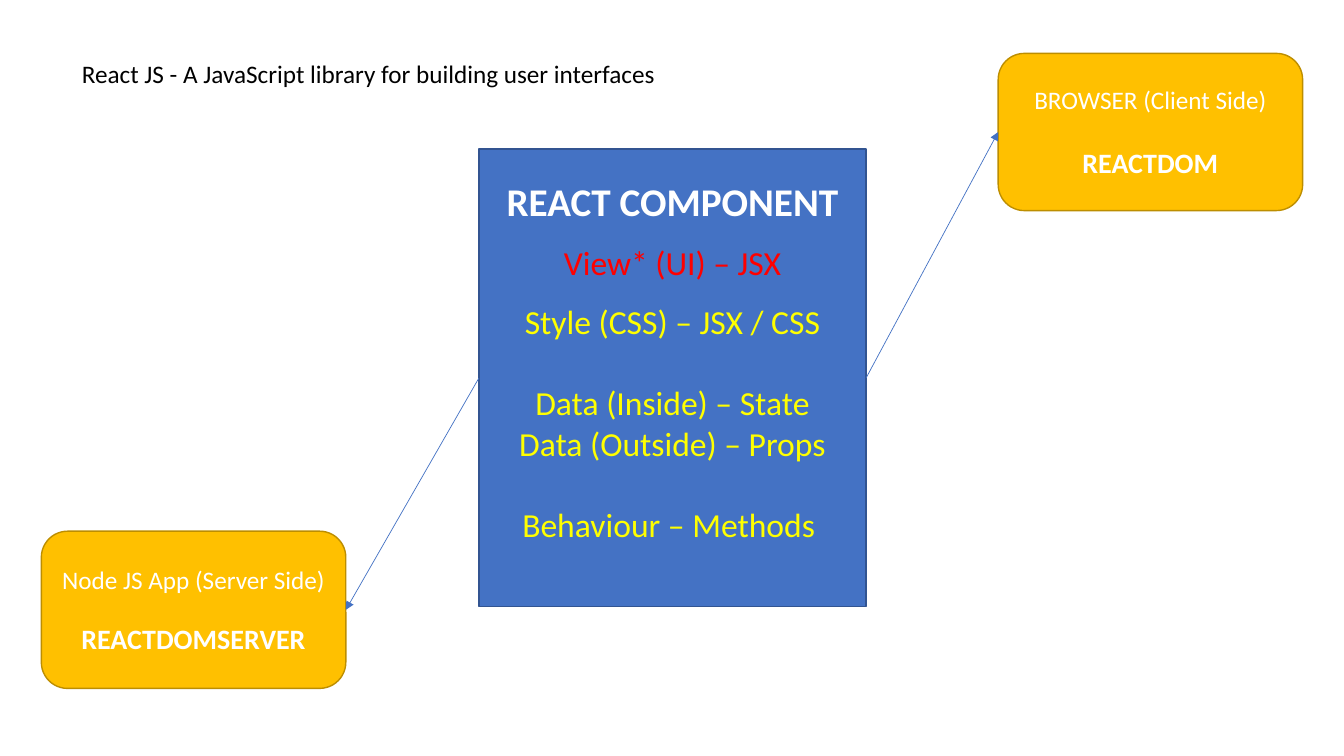
from lxml import etree
from pptx import Presentation
from pptx.dml.color import RGBColor
from pptx.enum.shapes import MSO_CONNECTOR, MSO_SHAPE
from pptx.enum.text import MSO_ANCHOR, PP_ALIGN
from pptx.oxml.ns import qn
from pptx.util import Inches, Pt

FONT = "Calibri"
COLORS = {
    "black": "000000", "white": "FFFFFF", "red": "FF0000", "yellow": "FFFF00",
    "blue": "4472C4", "blue edge": "325491",
    "amber": "FFC000", "amber edge": "BD8E00",
}

# Content: text, size, colour, bold, space before, line spacing
TITLE = [("React JS - A JavaScript library for building user interfaces",
          18, "black", False, 0, 1)]
COMPONENT = [
    ("REACT COMPONENT", 28, "white", True, 0, 1.5),
    ("View* (UI) – JSX", 24, "red", False, 12.2, 1),
    ("Style (CSS) – JSX / CSS", 24, "yellow", False, 13.4, 1),
    ("Data (Inside) – State", 24, "yellow", False, 29.3, 1),
    ("Data (Outside) – Props", 24, "yellow", False, 0, 1),
    ("Behaviour – Methods ", 24, "yellow", False, 29.3, 1),
]
# Render targets: left, top, side of the component, own side, gap, lines
# Connection sites on a rectangle: 1 is left, 3 is right
TARGETS = [
    (9.9, 0.53, 3, 1, 22, ("BROWSER (Client Side)", "REACTDOM")),
    (0.41, 5.27, 1, 3, 19.5, ("Node JS App (Server Side)", "REACTDOMSERVER")),
]
TARGET_SIZE = (3.02, 1.56)


def rgb(name):
    return RGBColor.from_string(COLORS[name])


def write(shape, lines, anchor):
    frame = shape.text_frame
    frame.word_wrap = True
    frame.vertical_anchor = anchor
    for index, (text, size, color, bold, gap, spacing) in enumerate(lines):
        para = frame.paragraphs[0] if index == 0 else frame.add_paragraph()
        para.alignment = PP_ALIGN.CENTER
        para.line_spacing = spacing
        para.space_before = Pt(gap)
        span = para.add_run()
        span.text = text
        span.font.name = FONT
        span.font.size = Pt(size)
        span.font.bold = bold
        span.font.color.rgb = rgb(color)


def add_box(page, kind, place, color, lines, anchor):
    box = page.shapes.add_shape(kind, *map(Inches, place))
    box.shadow.inherit = False
    box.fill.solid()
    box.fill.fore_color.rgb = rgb(color)
    box.line.color.rgb = rgb(color + " edge")
    box.line.width = Pt(1)
    write(box, lines, anchor)
    return box


def add_arrow(page, source, source_side, target, target_side):
    arrow = page.shapes.add_connector(MSO_CONNECTOR.STRAIGHT, 0, 0, 0, 0)
    arrow.begin_connect(source, source_side)
    arrow.end_connect(target, target_side)
    arrow.line.color.rgb = rgb("blue")
    arrow.line.width = Pt(0.5)
    etree.SubElement(arrow.line._get_or_add_ln(), qn("a:tailEnd"), type="triangle")
    etree.SubElement(arrow._element.spPr, qn("a:effectLst"))


def main():
    deck = Presentation()
    deck.slide_width, deck.slide_height = Inches(13.33), Inches(7.5)
    page = deck.slides.add_slide(deck.slide_layouts[6])

    # Title
    title = page.shapes.add_textbox(*map(Inches, (0.64, 0.53, 6.03, 0.4)))
    write(title, TITLE, MSO_ANCHOR.TOP)

    # Component in the centre
    component = add_box(page, MSO_SHAPE.RECTANGLE, (4.75, 1.48, 3.84, 4.54),
                        "blue", COMPONENT, MSO_ANCHOR.TOP)

    # Render targets, each with its arrow
    for left, top, component_side, target_side, gap, (label, library) in TARGETS:
        lines = [(label, 18, "white", False, 0, 1),
                 (library, 20, "white", True, gap, 1)]
        target = add_box(page, MSO_SHAPE.ROUNDED_RECTANGLE, (left, top, *TARGET_SIZE),
                         "amber", lines, MSO_ANCHOR.MIDDLE)
        add_arrow(page, component, component_side, target, target_side)

    deck.save("out.pptx")


if __name__ == "__main__":
    main()
